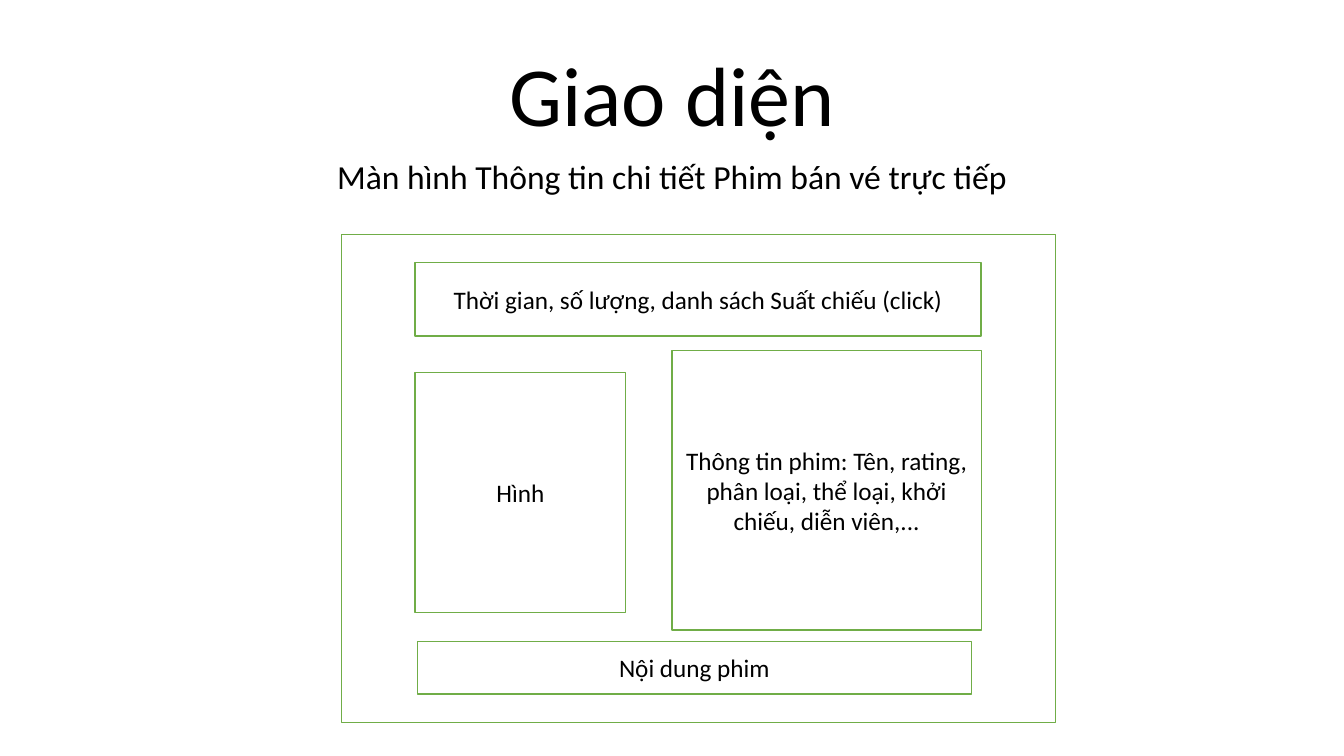
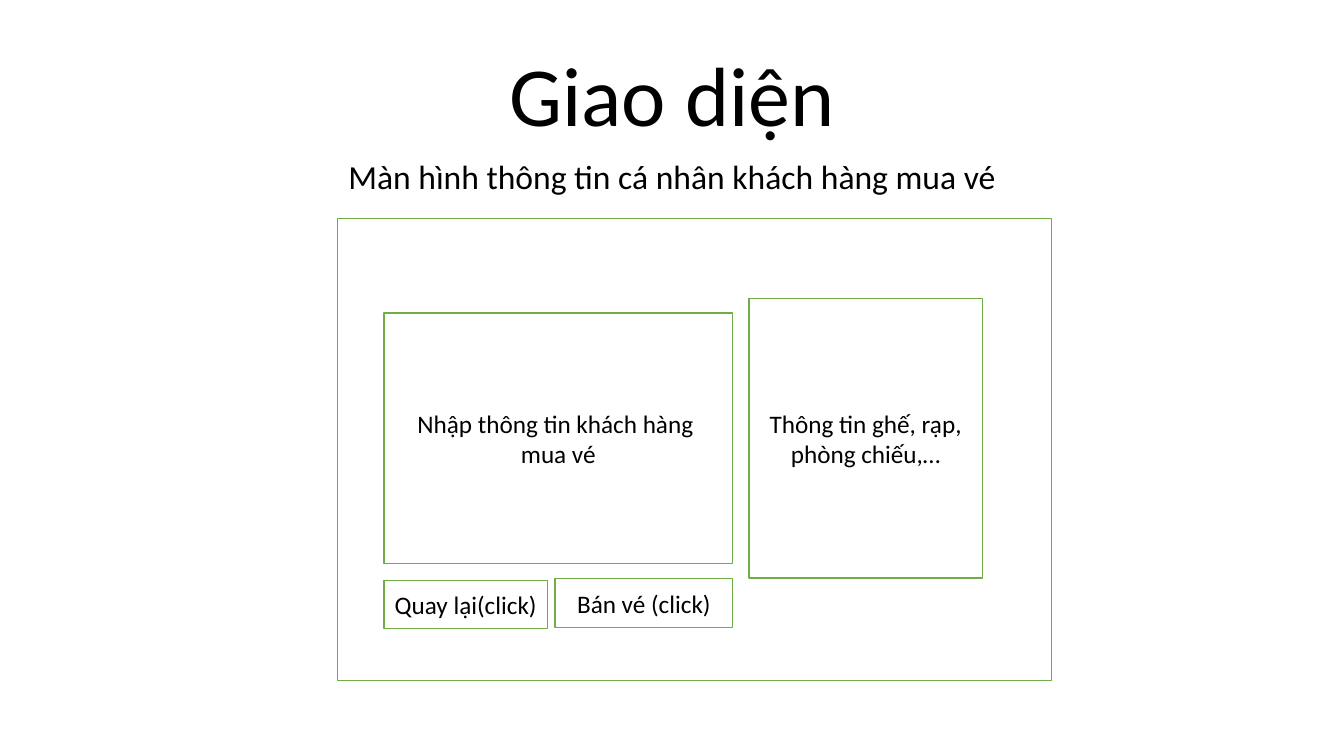
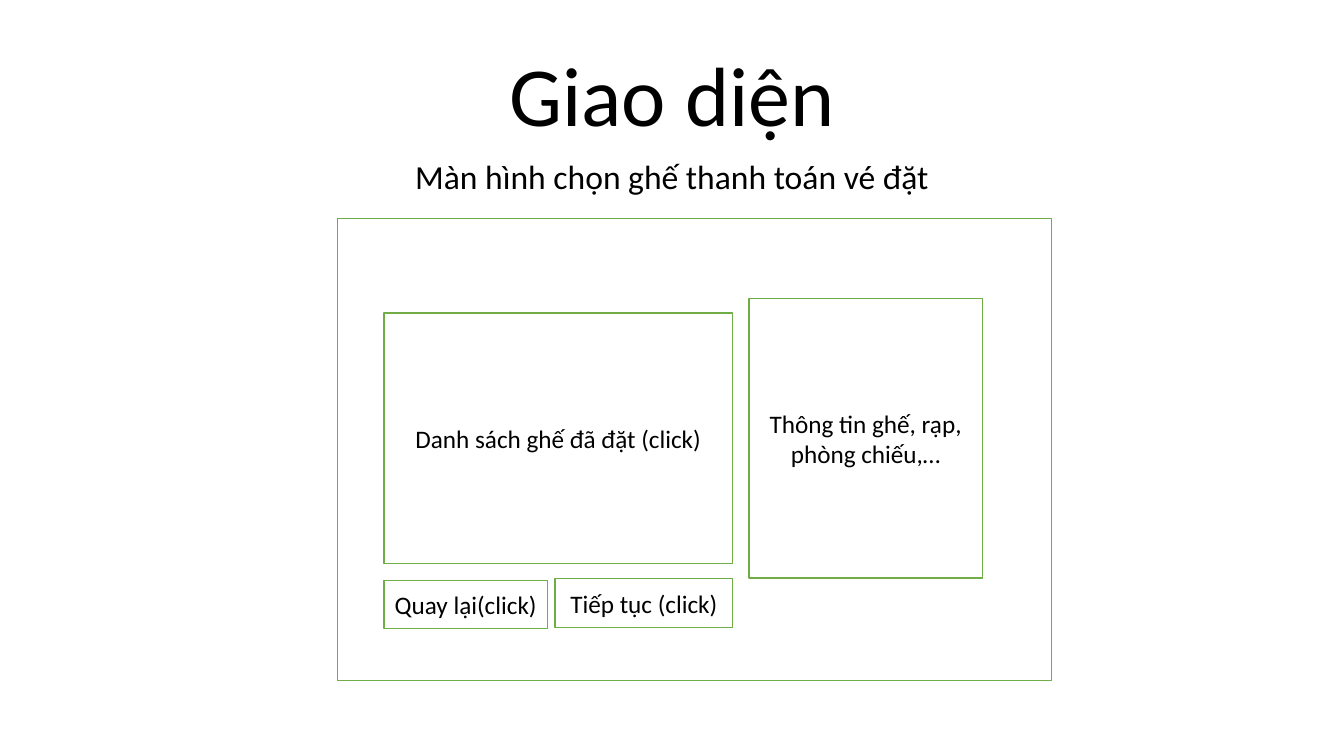
"""Build three wireframe slides for cinema ticket screens."""
from pptx import Presentation
from pptx.dml.color import RGBColor
from pptx.enum.shapes import MSO_SHAPE
from pptx.enum.text import MSO_ANCHOR, MSO_AUTO_SIZE, PP_ALIGN

RECTANGLE = MSO_SHAPE.RECTANGLE
CENTER = PP_ALIGN.CENTER
TOP, MIDDLE, BOTTOM = MSO_ANCHOR.TOP, MSO_ANCHOR.MIDDLE, MSO_ANCHOR.BOTTOM
NO_AUTOFIT = MSO_AUTO_SIZE.NONE

from pptx.util import Pt

FONT = "Calibri"
BLACK, WHITE, GREEN = "000000", "FFFFFF", "70AD47"
TITLE = "Giao diện"
TITLE_BOX = (120, 26.6, 720, 80.6)
SUBTITLE_BOX = (120, 110.9, 720, 90.7)

FILM_LAYOUT = {
    "frame": (243.9, 167.7, 510, 348.6),
    "picture": (296.5, 266, 150.4, 171.7),
    "details": (480, 250.5, 221, 199.5),
    "summary": (298.2, 458.1, 395.6, 37.5),
    "showtimes": (296.5, 187.5, 404.2, 52.5),
}
SEAT_LAYOUT = {
    "frame": (241.1, 156, 510, 330),
    "main": (274.2, 223.6, 249.2, 179),
    "details": (535, 213.2, 166.8, 199.6),
    "next": (396.5, 413.4, 126.9, 34.8),
    "back": (274.2, 414.5, 117, 34.6),
}
SEAT_TEXTS = {"details": "Thông tin ghế, rạp, phòng chiếu,…", "back": "Quay lại(click)"}

SCREENS = [
    ("Màn hình Thông tin chi tiết Phim bán vé trực tiếp", FILM_LAYOUT, {
        "picture": "Hình",
        "details": "Thông tin phim: Tên, rating, phân loại, thể loại, khởi chiếu, diễn viên,...",
        "summary": "Nội dung phim",
        "showtimes": "Thời gian, số lượng, danh sách Suất chiếu (click)",
    }),
    ("Màn hình thông tin cá nhân khách hàng mua vé", SEAT_LAYOUT, {
        **SEAT_TEXTS,
        "main": "Nhập thông tin khách hàng \nmua vé",
        "next": "Bán vé (click)",
    }),
    ("Màn hình chọn ghế thanh toán vé đặt", SEAT_LAYOUT, {
        **SEAT_TEXTS,
        "main": "Danh sách ghế đã đặt (click)",
        "next": "Tiếp tục (click)",
    }),
]


def color(value):
    return RGBColor.from_string(value)


def write(shape, text, size, anchor, line_spacing=1.0, space_before=0):
    frame = shape.text_frame
    frame.text = text
    frame.word_wrap = True
    frame.auto_size = NO_AUTOFIT
    frame.vertical_anchor = anchor
    for paragraph in frame.paragraphs:
        paragraph.alignment = CENTER
        paragraph.line_spacing = line_spacing
        paragraph.space_before = Pt(space_before)
        for run in paragraph.runs:
            run.font.name = FONT
            run.font.size = Pt(size)
            run.font.color.rgb = color(BLACK)


def place(shape, box):
    shape.left, shape.top, shape.width, shape.height = map(Pt, box)


def add_panel(slide, box, text):
    panel = slide.shapes.add_shape(RECTANGLE, *map(Pt, box))
    panel.shadow.inherit = False
    panel.fill.solid()
    panel.fill.fore_color.rgb = color(WHITE)
    panel.line.color.rgb = color(GREEN)
    panel.line.width = Pt(1)
    if text:
        write(panel, text, 18, MIDDLE)


def add_screen(presentation, subtitle_text, layout, texts):
    slide = presentation.slides.add_slide(presentation.slide_layouts[0])
    title, subtitle = slide.placeholders
    place(title, TITLE_BOX)
    write(title, TITLE, 60, BOTTOM, 0.9)
    place(subtitle, SUBTITLE_BOX)
    write(subtitle, subtitle_text, 24, TOP, 0.9, 10)
    for name, box in layout.items():
        add_panel(slide, box, texts.get(name))


presentation = Presentation()
presentation.slide_width, presentation.slide_height = Pt(960), Pt(540)
for screen in SCREENS:
    add_screen(presentation, *screen)
presentation.save("out.pptx")
